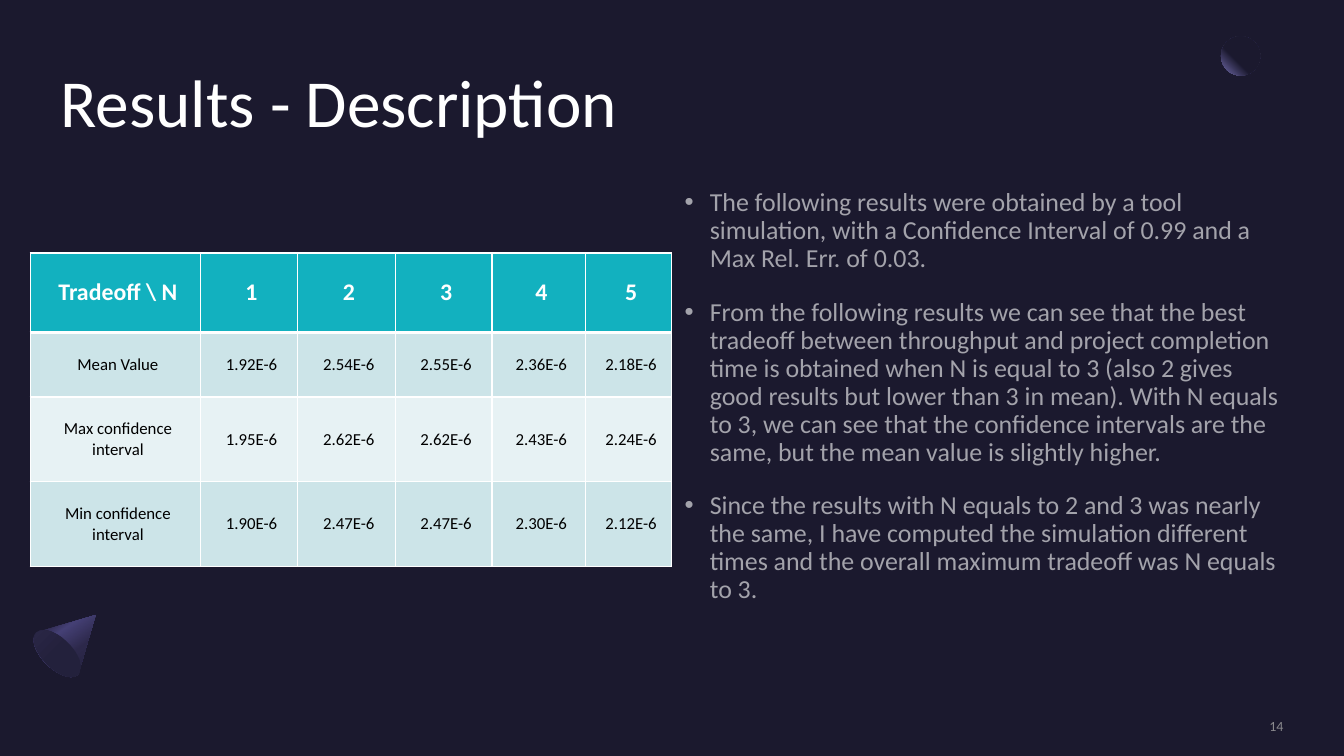
from math import cos, pi, sin

from pptx import Presentation
from pptx.dml.color import RGBColor
from pptx.enum.shapes import MSO_SHAPE as Shape
from pptx.enum.text import MSO_ANCHOR as Anchor, MSO_AUTO_SIZE as AutoSize, PP_ALIGN as Align
from pptx.oxml import parse_xml
from pptx.oxml.ns import nsdecls, qn
from pptx.util import Inches, Pt

FONT = "Calibri"
COLORS = {
    "background": "1B192E", "white": "FFFFFF", "black": "000000", "number": "A6A6A6",
    "header": "12B1BF", "band": "CCE4E8", "light_band": "E7F2F4",
    "lilac": "7771B2", "violet": "454075", "indigo": "2C284A", "dusk": "23213C",
}
TITLE = "Results - Description"
BULLETS = [
    "The following results were obtained by a tool simulation, with a Confidence Interval "
    "of 0.99 and a Max Rel. Err. of 0.03.",
    "From the following results we can see that the best tradeoff between throughput and "
    "project completion time is obtained when N is equal to 3 (also 2 gives good results "
    "but lower than 3 in mean). With N equals to 3, we can see that the confidence "
    "intervals are the same, but the mean value is slightly higher.",
    "Since the results with N equals to 2 and 3 was nearly the same, I have computed the "
    "simulation different times and the overall maximum tradeoff was N equals to 3.",
]
SLIDE_NUMBER = "14"
RESULTS = [
    ("Tradeoff \\ N", "1", "2", "3", "4", "5"),
    ("Mean Value", "1.92E-6", "2.54E-6", "2.55E-6", "2.36E-6", "2.18E-6"),
    ("Max confidence interval", "1.95E-6", "2.62E-6", "2.62E-6", "2.43E-6", "2.24E-6"),
    ("Min confidence interval", "1.90E-6", "2.47E-6", "2.47E-6", "2.30E-6", "2.12E-6"),
]
COLUMN_WIDTHS = [1.69, 0.96, 0.97, 0.96, 0.93, 0.85]
ROW_HEIGHTS = [0.79, 0.64, 0.84, 0.84]


def rgb(name):
    return RGBColor.from_string(COLORS[name])


def box(left, top, width, height):
    return [Inches(value) for value in (left, top, width, height)]


def place(shape, left, top, width, height):
    shape.left, shape.top, shape.width, shape.height = box(left, top, width, height)


def prepare_frame(frame, anchor):
    """Give a text frame no insets, wrapping and a fixed size."""
    frame.margin_left = frame.margin_top = frame.margin_right = frame.margin_bottom = 0
    frame.word_wrap = True
    frame.auto_size = AutoSize.NONE
    frame.vertical_anchor = anchor


def format_runs(paragraph, size, color, bold=False, opacity=100):
    for run in paragraph.runs:
        run.font.name = FONT
        run.font.size = Pt(size)
        run.font.bold = bold
        run.font.color.rgb = rgb(color)
        if opacity < 100:
            solid = run.font._element.find(qn("a:solidFill"))
            solid[0].append(parse_xml(f'<a:alpha {nsdecls("a")} val="{opacity * 1000}"/>'))


def fill_gradient(shape, stops, direction):
    """Fill with (percent, colour) stops; direction is the a:lin or a:path element."""
    shape.shadow.inherit = False
    shape.line.fill.background()
    shape.fill.background()
    stop_xml = "".join(
        f'<a:gs pos="{percent * 1000}"><a:srgbClr val="{COLORS[color]}"/></a:gs>'
        for percent, color in stops)
    properties = shape._element.spPr
    properties.replace(properties.find(qn("a:noFill")), parse_xml(
        f'<a:gradFill {nsdecls("a")} rotWithShape="1"><a:gsLst>{stop_xml}</a:gsLst>'
        f"{direction}</a:gradFill>"))


def linear(degrees):
    return f'<a:lin ang="{degrees * 60000}" scaled="0"/>'


def add_moon(slide):
    moon = slide.shapes.add_shape(Shape.OVAL, *box(12.11, 0.36, 0.39, 0.39))
    fill_gradient(moon, [(60, "background"), (100, "lilac")],
                  '<a:path path="circle"><a:fillToRect l="100000" b="100000"/></a:path>')


def add_cone(slide):
    left, top, width, height, rim = 0.41, 6, 0.59, 0.69, 0.15
    center = left + width / 2
    steps = 24
    arc = [(center + width / 2 * cos(pi * step / steps),
            top + height - rim + rim * sin(pi * step / steps)) for step in range(steps + 1)]
    group = slide.shapes.add_group_shape()
    builder = group.shapes.build_freeform(Inches(center), Inches(top))
    builder.add_line_segments([(Inches(x), Inches(y)) for x, y in arc], close=True)
    side = builder.convert_to_shape()
    side.rotation = 45
    fill_gradient(side, [(30, "indigo"), (40, "violet"), (60, "indigo"), (100, "background")],
                  linear(10))
    base = group.shapes.add_shape(Shape.OVAL, *box(0.42, 6.19, 0.3, 0.59))
    base.rotation = 135
    fill_gradient(base, [(50, "dusk"), (100, "indigo")], linear(90))


def add_title(slide):
    title = slide.shapes.title
    place(title, 0.6, 0.6, 12.13, 1.46)
    title.text_frame.text = TITLE
    prepare_frame(title.text_frame, Anchor.TOP)
    paragraph = title.text_frame.paragraphs[0]
    paragraph.alignment = Align.LEFT
    format_runs(paragraph, 48, "white")


def add_bullets(slide):
    body = slide.placeholders[1]
    place(body, 6.79, 1.88, 5.94, 4.37)
    frame = body.text_frame
    frame.text = "\n".join(BULLETS)
    prepare_frame(frame, Anchor.TOP)
    for paragraph in frame.paragraphs:
        paragraph.line_spacing = 0.9
        paragraph.space_before, paragraph.space_after = Pt(10), Pt(8)
        properties = paragraph._p.get_or_add_pPr()
        properties.set("marL", str(Inches(0.25)))
        properties.set("indent", str(-Inches(0.25)))
        properties.append(parse_xml(f'<a:buFont {nsdecls("a")} typeface="Arial"/>'))
        properties.append(parse_xml(f'<a:buChar {nsdecls("a")} char="•"/>'))
        format_runs(paragraph, 18.5, "white", opacity=60)


def add_slide_number(slide):
    frame = slide.shapes.add_textbox(*box(10.88, 7.12, 1.85, 0.17)).text_frame
    frame.text = SLIDE_NUMBER
    prepare_frame(frame, Anchor.MIDDLE)
    paragraph = frame.paragraphs[0]
    paragraph.alignment = Align.RIGHT
    paragraph.space_after = Pt(6)
    format_runs(paragraph, 10, "number", opacity=80)


def set_borders(cell, top, bottom):
    widths = {"lnL": 1, "lnR": 1, "lnT": top, "lnB": bottom}
    properties = cell._tc.get_or_add_tcPr()
    for index, (side, width) in enumerate(widths.items()):
        properties.insert(index, parse_xml(
            f'<a:{side} {nsdecls("a")} w="{Pt(width)}"><a:solidFill>'
            f'<a:srgbClr val="{COLORS["white"]}"/></a:solidFill></a:{side}>'))


def add_results_table(slide):
    frame = slide.shapes.add_table(
        len(RESULTS), len(COLUMN_WIDTHS),
        *box(0.3, 2.51, sum(COLUMN_WIDTHS), sum(ROW_HEIGHTS)))
    table = frame.table
    for column, width in zip(table.columns, COLUMN_WIDTHS):
        column.width = Inches(width)
    for row_index, (row, height) in enumerate(zip(table.rows, ROW_HEIGHTS)):
        row.height = Inches(height)
        is_header = row_index == 0
        band = "header" if is_header else "band" if row_index % 2 else "light_band"
        for cell, text in zip(row.cells, RESULTS[row_index]):
            cell.text_frame.text = text
            cell.vertical_anchor = Anchor.MIDDLE
            cell.margin_left, cell.margin_right = Inches(0.19), Inches(0.14)
            cell.margin_top = cell.margin_bottom = Inches(0.09)
            cell.fill.solid()
            cell.fill.fore_color.rgb = rgb(band)
            set_borders(cell, top=3 if row_index == 1 else 1, bottom=3 if is_header else 1)
            paragraph = cell.text_frame.paragraphs[0]
            paragraph.alignment = Align.CENTER
            format_runs(paragraph, 17 if is_header else 12,
                        "white" if is_header else "black", bold=is_header)


def main():
    presentation = Presentation()
    presentation.slide_width, presentation.slide_height = Inches(13.33), Inches(7.5)
    slide = presentation.slides.add_slide(presentation.slide_layouts[1])
    slide.background.fill.solid()
    slide.background.fill.fore_color.rgb = rgb("background")
    add_moon(slide)
    add_cone(slide)
    add_title(slide)
    add_bullets(slide)
    add_slide_number(slide)
    add_results_table(slide)
    presentation.save("out.pptx")


if __name__ == "__main__":
    main()
